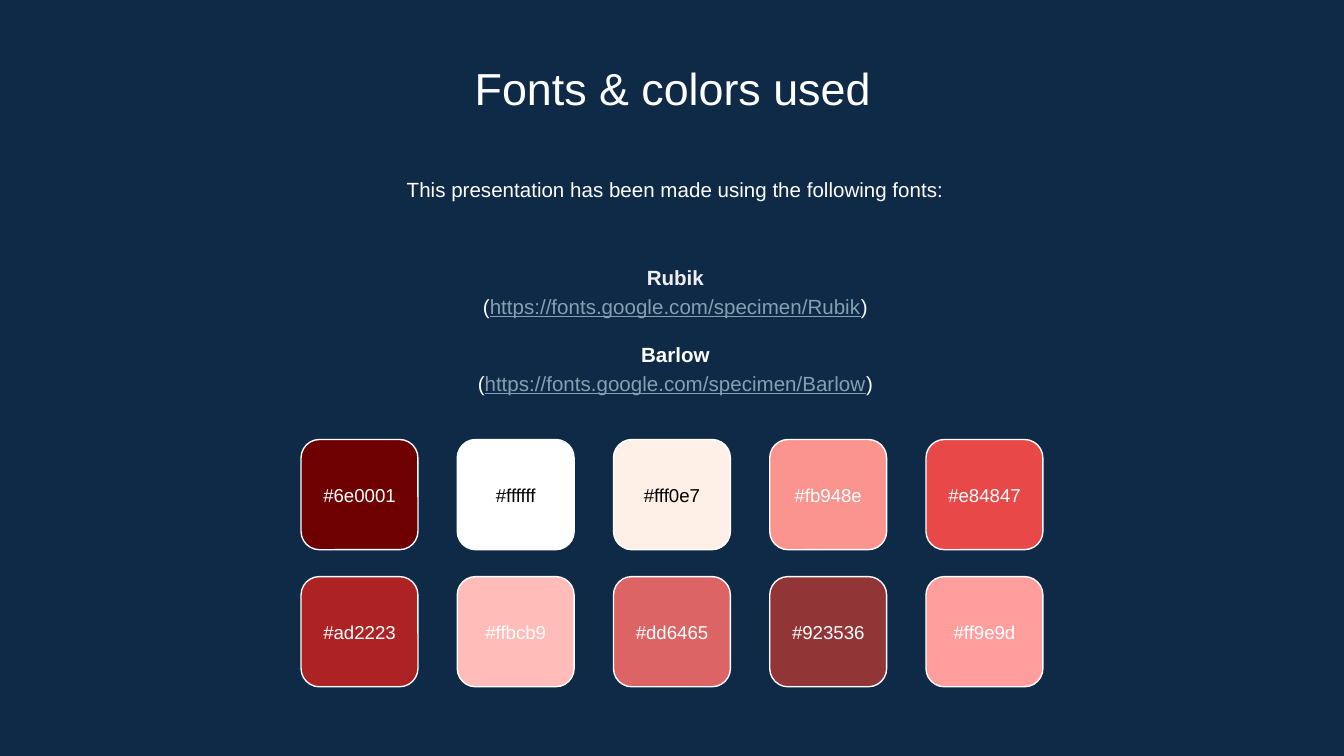
from pptx import Presentation
from pptx.dml.color import RGBColor
from pptx.enum.shapes import MSO_SHAPE as Shape
from pptx.enum.text import MSO_ANCHOR as Anchor, PP_ALIGN as Align
from pptx.util import Inches, Pt

TITLE = "Fonts & colors used"
INTRO = "This presentation has been made using the following fonts:"
FONTS = [
    ("Rubik", "EFEFEF", "https://fonts.google.com/specimen/Rubik"),
    ("Barlow", "FFFFFF", "https://fonts.google.com/specimen/Barlow"),
]
SWATCHES = [
    ["#6e0001", "#ffffff", "#fff0e7", "#fb948e", "#e84847"],
    ["#ad2223", "#ffbcb9", "#dd6465", "#923536", "#ff9e9d"],
]
DARK_LABELS = {"#ffffff", "#fff0e7"}
NAVY, WHITE, BLACK, LINK = "0E2A47", "FFFFFF", "000000", "869FB2"
GRID_LEFT, GRID_RIGHT, GRID_TOP = 2.24, 7.76, 3.27
SWATCH_WIDTH, SWATCH_HEIGHT, ROW_PITCH = 0.87, 0.82, 1.02
LABEL_HEIGHT = 0.48
FONT_GAP = 11


def color(hex_code):
    return RGBColor.from_string(hex_code.lstrip("#").upper())


def place(shape, left, top, width, height):
    shape.left, shape.top = Inches(left), Inches(top)
    shape.width, shape.height = Inches(width), Inches(height)


def set_frame(frame, anchor=Anchor.TOP):
    frame.word_wrap = True
    frame.vertical_anchor = anchor
    frame.margin_left = frame.margin_right = Inches(0.1)
    frame.margin_top = frame.margin_bottom = Inches(0.1)


def write_line(paragraph, pieces, size, spacing=1.0):
    paragraph.alignment = Align.CENTER
    paragraph.line_spacing = spacing
    for text, hex_code, bold, underline in pieces:
        run = paragraph.add_run()
        run.text = text
        run.font.name = "Arial"
        run.font.size = Pt(size)
        run.font.color.rgb = color(hex_code)
        run.font.bold = bold
        run.font.underline = underline


def add_text(slide, left, top, width, height, anchor=Anchor.TOP):
    box = slide.shapes.add_textbox(0, 0, 0, 0)
    place(box, left, top, width, height)
    set_frame(box.text_frame, anchor)
    return box.text_frame


def add_title(slide):
    title = slide.shapes.title
    place(title, 1.15, 0.35, 7.71, 0.53)
    set_frame(title.text_frame)
    write_line(title.text_frame.paragraphs[0], [(TITLE, WHITE, False, False)], 24)


def add_fonts(slide):
    frame = add_text(slide, 1.17, 1.76, 7.71, 1.37, Anchor.MIDDLE)
    for index, (name, name_color, address) in enumerate(FONTS):
        heading = frame.add_paragraph() if index else frame.paragraphs[0]
        if index:
            heading.space_before = Pt(FONT_GAP)
        write_line(heading, [(name, name_color, True, False)], 11, 1.15)
        pieces = [("(", WHITE, False, False), (address, LINK, False, True), (")", WHITE, False, False)]
        write_line(frame.add_paragraph(), pieces, 11, 1.15)


def add_swatch(slide, code, left, top):
    swatch = slide.shapes.add_shape(Shape.ROUNDED_RECTANGLE, 0, 0, 0, 0)
    place(swatch, left, top, SWATCH_WIDTH, SWATCH_HEIGHT)
    swatch.shadow.inherit = False
    swatch.fill.solid()
    swatch.fill.fore_color.rgb = color(code)
    swatch.line.color.rgb = color(WHITE)
    swatch.line.width = Pt(0.75)
    label_top = top + (SWATCH_HEIGHT - LABEL_HEIGHT) / 2
    label = add_text(slide, left, label_top, SWATCH_WIDTH, LABEL_HEIGHT, Anchor.MIDDLE)
    label_color = BLACK if code in DARK_LABELS else WHITE
    write_line(label.paragraphs[0], [(code, label_color, False, False)], 10)


def main():
    """Build the slide that lists the fonts and colors of the deck."""
    deck = Presentation()
    deck.slide_width = Inches(10)
    deck.slide_height = deck.slide_width * 9 // 16
    slide = deck.slides.add_slide(deck.slide_layouts[5])
    slide.background.fill.solid()
    slide.background.fill.fore_color.rgb = color(NAVY)

    add_title(slide)
    intro = add_text(slide, 1.17, 1.19, 7.71, 0.48)
    write_line(intro.paragraphs[0], [(INTRO, WHITE, False, False)], 11, 1.15)
    add_fonts(slide)

    column_pitch = (GRID_RIGHT - GRID_LEFT - SWATCH_WIDTH) / (len(SWATCHES[0]) - 1)
    for row, codes in enumerate(SWATCHES):
        for column, code in enumerate(codes):
            add_swatch(slide, code, GRID_LEFT + column * column_pitch, GRID_TOP + row * ROW_PITCH)
    deck.save("out.pptx")


if __name__ == "__main__":
    main()
